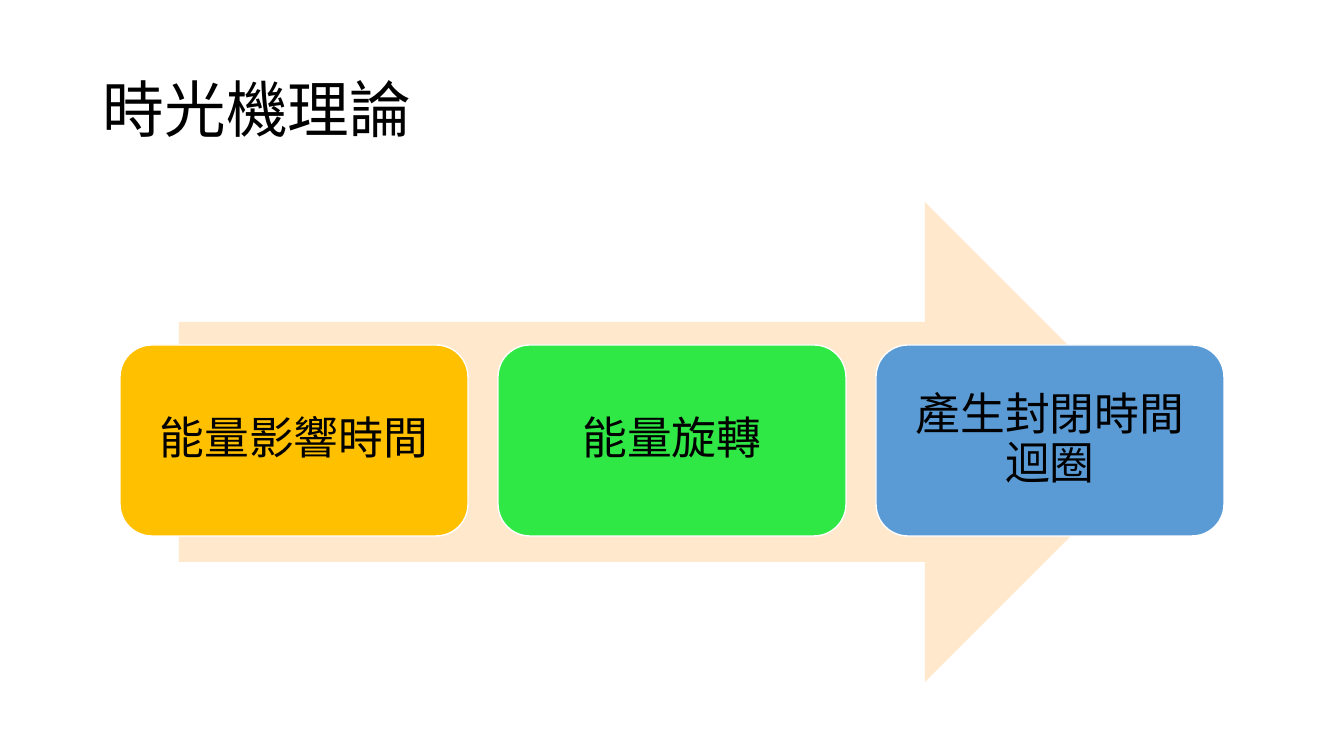
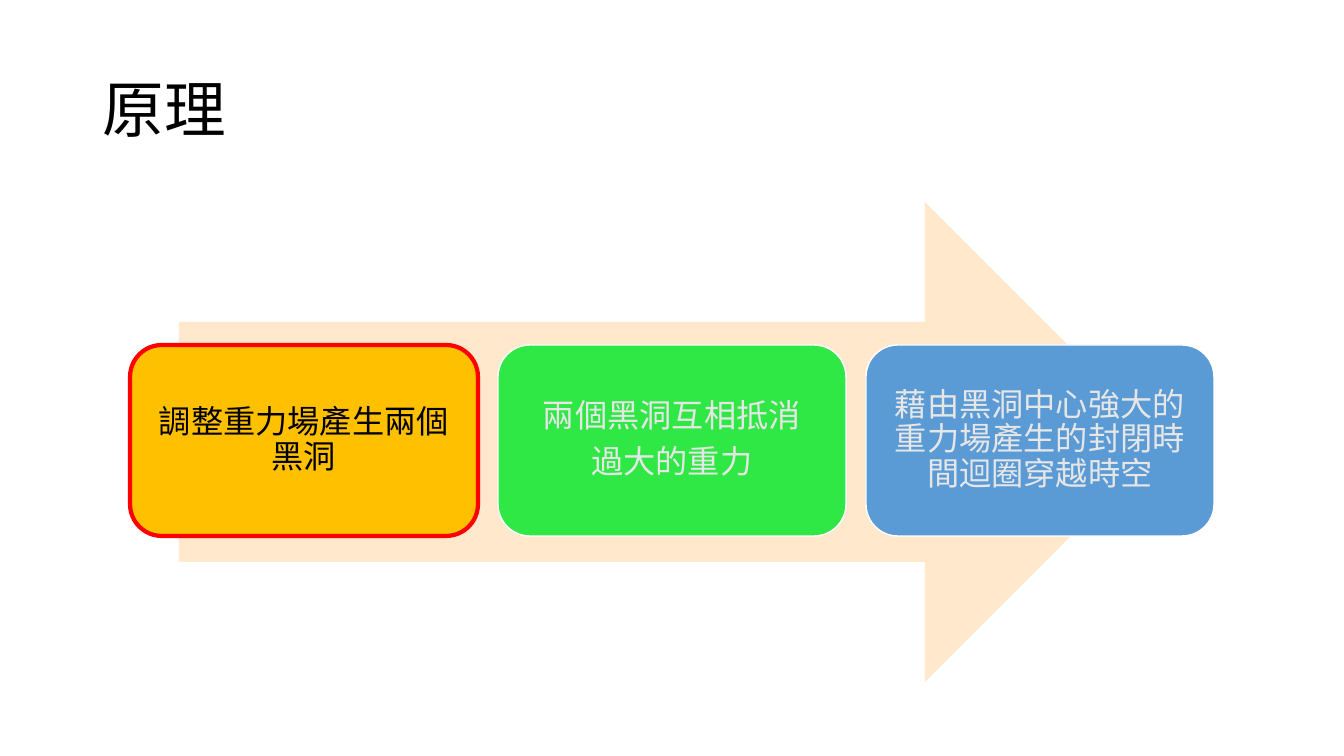
"""Build two slides that each show three steps on a wide arrow."""
from dataclasses import dataclass

from pptx import Presentation
from pptx.dml.color import RGBColor as Rgb
from pptx.enum.shapes import MSO_SHAPE as Kind
from pptx.enum.text import MSO_ANCHOR as Anchor, PP_ALIGN as Align
from pptx.oxml.ns import qn
from pptx.shapes.autoshape import Shape
from pptx.slide import Slide
from pptx.text.text import TextFrame
from pptx.util import Emu, Pt

FONT = "Noto Sans CJK SC"
BLACK = Rgb(0x00, 0x00, 0x00)
WHITE = Rgb(0xFF, 0xFF, 0xFF)
PALE = Rgb(0xE7, 0xE6, 0xE6)
RED = Rgb(0xFF, 0x00, 0x00)
CREAM = Rgb(0xFF, 0xE8, 0xCC)
GOLD = Rgb(0xFF, 0xC0, 0x00)
GREEN = Rgb(0x30, 0xE8, 0x45)
BLUE = Rgb(0x5B, 0x9B, 0xD5)
FILLS = (GOLD, GREEN, BLUE)

WIDE, HIGH = 1344, 756
BOX_W, BOX_H, BOX_TOP = 348, 191, 345


@dataclass(frozen=True)
class Step:
    text: str
    ink: Rgb = BLACK
    edge: Rgb = WHITE
    line: int = 1


@dataclass(frozen=True)
class Page:
    title: str
    size: int
    pad: int
    gap: int
    steps: tuple[Step, ...]


PAGES = (
    Page("時光機理論", 32, 13, 30, (
        Step("能量影響時間"),
        Step("能量旋轉"),
        Step("產生封閉時間迴圈"),
    )),
    Page("原理", 23, 10, 20, (
        Step("調整重力場產生兩個黑洞", BLACK, RED, 3),
        Step("兩個黑洞互相抵消\n過大的重力", PALE),
        Step("藉由黑洞中心強大的重力場產生的封閉時間迴圈穿越時空", PALE),
    )),
)


def px(num: int) -> Emu:
    """Turn pixels into EMU."""
    return Emu(round(num * 914400 / 100.8))


def write(frame: TextFrame, text: str, size: int, ink: Rgb,
          align: Align, after: float) -> None:
    """Set wrapped, middle-anchored text and its format."""
    frame.word_wrap = True
    frame.vertical_anchor = Anchor.MIDDLE
    frame.text = text
    for para in frame.paragraphs:
        para.alignment = align
        para.line_spacing = 0.9
        para.space_after = Pt(after)
        for run in para.runs:
            font = run.font
            font.size = Pt(size)
            font.color.rgb = ink
            font.name = FONT
            east = font._element.makeelement(qn("a:ea"), {"typeface": FONT})
            font._element.append(east)


def draw(slide: Slide, kind: Kind, left: int, top: int,
         wide: int, high: int, fill: Rgb) -> Shape:
    """Add a flat filled shape without an outline."""
    shape = slide.shapes.add_shape(kind, px(left), px(top), px(wide), px(high))
    shape.shadow.inherit = False
    shape.fill.solid()
    shape.fill.fore_color.rgb = fill
    shape.line.fill.background()
    return shape


def add_step(slide: Slide, page: Page, step: Step, left: int, fill: Rgb) -> None:
    """Add one rounded step box with its text."""
    box = draw(slide, Kind.ROUNDED_RECTANGLE, left, BOX_TOP, BOX_W, BOX_H, fill)
    box.line.color.rgb = step.edge
    box.line.width = Pt(step.line)
    frame = box.text_frame
    frame.margin_left = frame.margin_right = px(page.pad)
    frame.margin_top = frame.margin_bottom = px(page.pad)
    write(frame, step.text, page.size, step.ink, Align.CENTER,
          round(page.size * 0.35))


def add_page(deck: Presentation, page: Page) -> None:
    """Add a slide with its title, arrow and centred row of steps."""
    slide = deck.slides.add_slide(deck.slide_layouts[6])
    title = slide.shapes.add_textbox(px(93), px(40), px(1159), px(146))
    write(title.text_frame, page.title, 44, BLACK, Align.LEFT, 0)
    draw(slide, Kind.RIGHT_ARROW, 179, 202, 986, 480, CREAM)
    pitch = BOX_W + page.gap
    start = (WIDE - len(page.steps) * pitch + page.gap) // 2
    for num, (step, fill) in enumerate(zip(page.steps, FILLS)):
        add_step(slide, page, step, start + num * pitch, fill)


def main() -> None:
    """Build and save the deck."""
    deck = Presentation()
    deck.slide_width, deck.slide_height = px(WIDE), px(HIGH)
    for page in PAGES:
        add_page(deck, page)
    deck.save("out.pptx")


if __name__ == "__main__":
    main()
